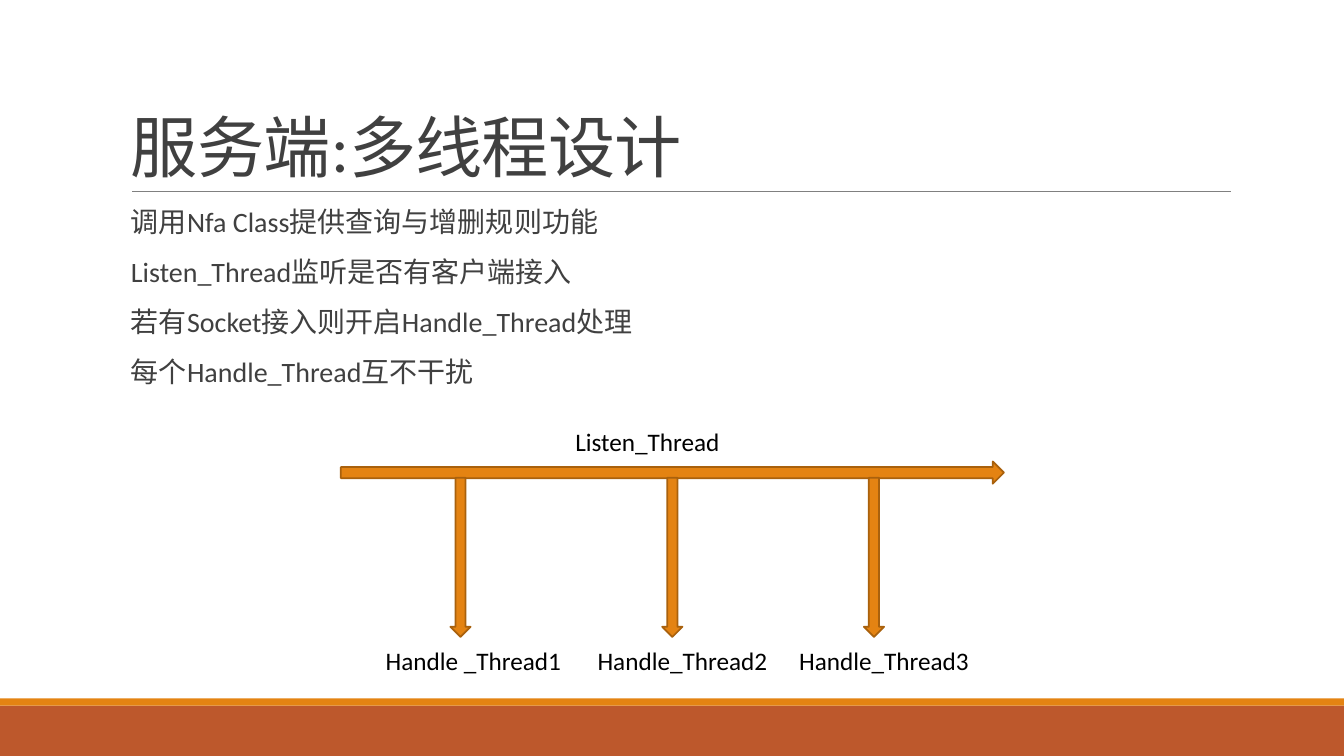
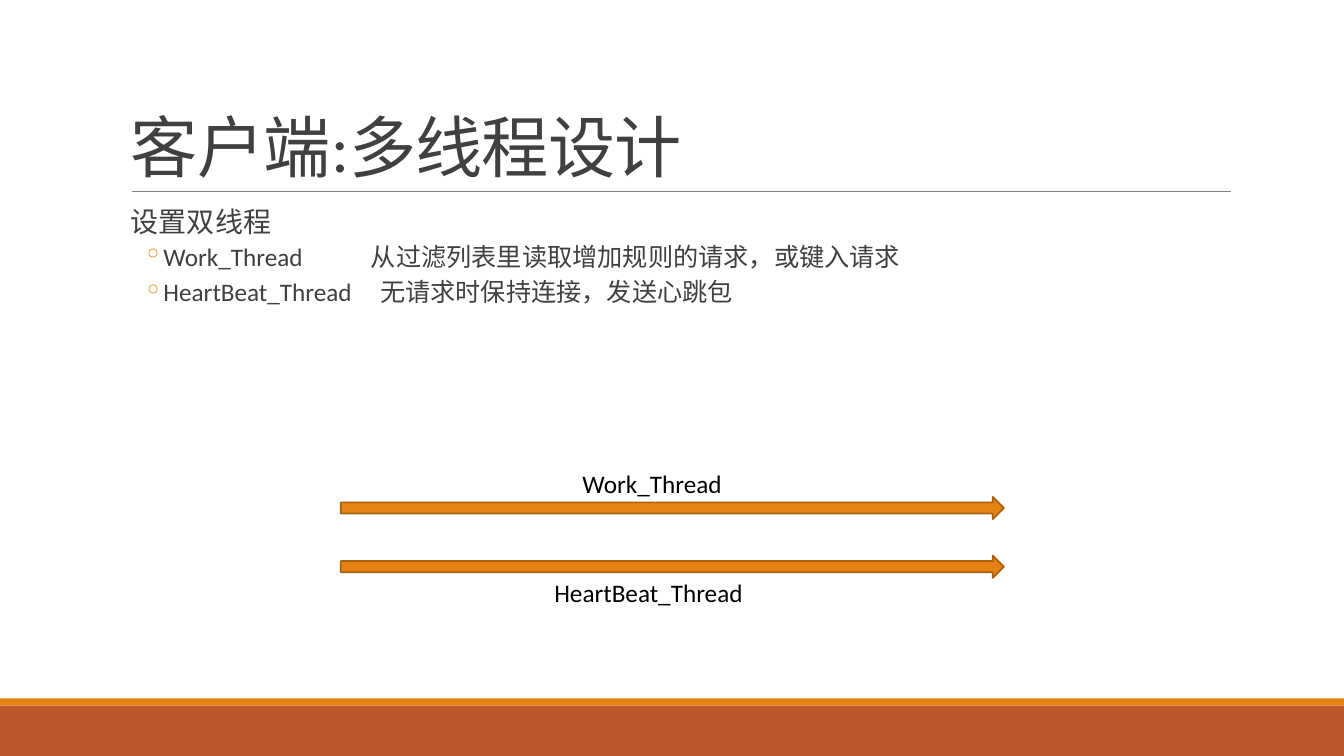
from dataclasses import dataclass

from lxml import etree
from pptx import Presentation
from pptx.dml.color import RGBColor
from pptx.enum.shapes import MSO_CONNECTOR, MSO_SHAPE
from pptx.enum.text import MSO_ANCHOR
from pptx.oxml.ns import qn
from pptx.util import Cm, Pt

RECTANGLE = MSO_SHAPE.RECTANGLE
RIGHT_ARROW = MSO_SHAPE.RIGHT_ARROW
DOWN_ARROW = MSO_SHAPE.DOWN_ARROW
STRAIGHT = MSO_CONNECTOR.STRAIGHT
TOP = MSO_ANCHOR.TOP
BOTTOM = MSO_ANCHOR.BOTTOM
BLANK_LAYOUT = 6


@dataclass(frozen=True)
class Theme:
    """Colours and type shared by the slides."""
    font: str = "Calibri"
    text: str = "404040"
    label: str = "000000"
    accent: str = "E48312"
    outline: str = "A9610D"
    band: str = "BD582C"
    rule: str = "808080"
    title_size: int = 48
    body_size: int = 20
    detail_size: int = 18


@dataclass(frozen=True)
class Box:
    """A region measured in centimetres."""
    left: float
    top: float
    width: float
    height: float

    def inner(self, left, top, width, height):
        """Return a region placed relative to this one."""
        return Box(self.left + left, self.top + top, width, height)

    def lengths(self):
        """Return the four lengths for python-pptx."""
        return Cm(self.left), Cm(self.top), Cm(self.width), Cm(self.height)


THEME = Theme()
PAGE = Box(0, 0, 33.87, 19.05)
CONTENT = Box(3.05, 0.79, 27.94, 15.52)
ARROW_THICKNESS = 0.56
LABEL_HEIGHT = 1.02


def colour(value):
    """Turn a hex string into a colour."""
    return RGBColor.from_string(value)


def add_block(shapes, kind, box, fill, outline=None):
    """Draw a filled preset shape, outlined on request."""
    block = shapes.add_shape(kind, *box.lengths())
    block.shadow.inherit = False
    block.fill.solid()
    block.fill.fore_color.rgb = colour(fill)
    if outline:
        block.line.color.rgb = colour(outline)
        block.line.width = Pt(1.25)
    else:
        block.line.fill.background()
    return block


def add_frame(shapes, box, anchor=TOP, side=0.25, wrap=True):
    """Add an empty text box and return its text frame."""
    frame = shapes.add_textbox(*box.lengths()).text_frame
    frame.word_wrap = wrap
    frame.vertical_anchor = anchor
    frame.margin_left = frame.margin_right = Cm(side)
    return frame


def write(para, text, size, fill=THEME.text, spacing=None, line=None,
          before=0, after=0, indent=0, hanging=0, bullet=None, tab=None):
    """Write one formatted paragraph."""
    para.line_spacing = line
    para.space_before, para.space_after = Pt(before), Pt(after)
    span = para.add_run()
    span.text = text
    span.font.name = THEME.font
    span.font.size = Pt(size)
    span.font.color.rgb = colour(fill)
    if spacing is not None:
        span.font._element.set("spc", str(round(spacing * 100)))
    properties = para._p.get_or_add_pPr()
    properties.set("marL", str(Cm(indent)))
    properties.set("indent", str(Cm(-hanging)))
    if bullet:
        tint = etree.SubElement(properties, qn("a:buClr"))
        etree.SubElement(tint, qn("a:srgbClr"), val=THEME.accent)
        etree.SubElement(properties, qn("a:buChar"), char=bullet)
    if tab:
        stops = etree.SubElement(properties, qn("a:tabLst"))
        etree.SubElement(stops, qn("a:tab"), pos=str(Cm(tab)), algn="l")


def add_label(shapes, box, text):
    """Add a one-line diagram label."""
    frame = add_frame(shapes, box, wrap=False)
    write(frame.paragraphs[0], text, THEME.detail_size, THEME.label)


def add_thread(shapes, kind, box):
    """Draw a thread as a block arrow."""
    add_block(shapes, kind, box, THEME.accent, THEME.outline)


def add_bands(page, box):
    """Draw the two bands at the foot of the page."""
    add_block(page.shapes, RECTANGLE,
              box.inner(0, 17.78, box.width, 1.27), THEME.band)
    add_block(page.shapes, RECTANGLE,
              box.inner(0, 17.6, box.width, 0.18), THEME.accent)


def add_title(page, box, text):
    """Set the title above its rule."""
    left, bottom = box.left + 0.28, box.top + box.height
    rule = page.shapes.add_connector(
        STRAIGHT, Cm(left), Cm(bottom), Cm(left + 27.68), Cm(bottom))
    rule.line.color.rgb = colour(THEME.rule)
    rule.line.width = Pt(0.5)
    etree.SubElement(rule._element.spPr, qn("a:effectLst"))
    frame = add_frame(page.shapes, box, anchor=BOTTOM)
    write(frame.paragraphs[0], text, THEME.title_size, spacing=-0.5, line=0.85)


def add_body(page, box, points, details=()):
    """List the points, then bulleted pairs of a thread and its task."""
    frame = add_frame(page.shapes, box, side=0)
    paras = [frame.paragraphs[0]]
    paras += [frame.add_paragraph() for _ in range(len(points) + len(details) - 1)]
    for para, point in zip(paras, points):
        write(para, point, THEME.body_size, line=0.9, before=12, after=2,
              indent=0.25)
    for para, (thread, task, tab) in zip(paras[len(points):], details):
        write(para, f"{thread}\t{task}", THEME.detail_size, line=0.9, before=2,
              after=4, indent=1.07, hanging=0.51, bullet="◦", tab=tab)


def add_server_diagram(page, box):
    """Show the listening thread branching into handlers."""
    shapes = page.shapes.add_group_shape().shapes
    add_thread(shapes, RIGHT_ARROW, box.inner(0, 1.01, box.width, ARROW_THICKNESS))
    add_label(shapes, box.inner(5.66, 0, 4.9, LABEL_HEIGHT), "Listen_Thread")
    handlers = (("Handle _Thread1", 2.76), ("Handle_Thread2", 8.1),
                ("Handle_Thread3", 13.18))
    for name, offset in handlers:
        add_thread(shapes, DOWN_ARROW, box.inner(offset, 1.42, 0.51, 4.01))
        add_label(shapes, box.inner(offset - 1.88, 5.51, 5.18, LABEL_HEIGHT), name)


def add_client_diagram(page, box):
    """Show the two parallel client threads."""
    shapes = page.shapes.add_group_shape().shapes
    for top in (0.84, 2.32):
        add_thread(shapes, RIGHT_ARROW,
                   box.inner(0, top, box.width, ARROW_THICKNESS))
    add_label(shapes, box.inner(5.84, 0, 4.19, LABEL_HEIGHT), "Work_Thread")
    add_label(shapes, box.inner(5.13, 2.75, 5.61, LABEL_HEIGHT), "HeartBeat_Thread")


def add_page(deck, title, points, details=()):
    """Add a page with bands, title and body text."""
    page = deck.slides.add_slide(deck.slide_layouts[BLANK_LAYOUT])
    add_bands(page, PAGE)
    add_title(page, CONTENT.inner(0, 0, CONTENT.width, 4.04), title)
    add_body(page, CONTENT.inner(0, 4.34, CONTENT.width, 11.18), points, details)
    return page


def main():
    """Build and save the deck."""
    deck = Presentation()
    deck.slide_width, deck.slide_height = Cm(PAGE.width), Cm(PAGE.height)
    server = add_page(deck, "服务端:多线程设计", (
        "调用Nfa Class提供查询与增删规则功能",
        "Listen_Thread监听是否有客户端接入",
        "若有Socket接入则开启Handle_Thread处理",
        "每个Handle_Thread互不干扰"))
    add_server_diagram(server, Box(8.59, 10.62, 16.71, 6.53))
    client = add_page(deck, "客户端:多线程设计", ("设置双线程",), (
        ("Work_Thread", "从过滤列表里读取增加规则的请求，或键入请求", 6.3),
        ("HeartBeat_Thread", "无请求时保持连接，发送心跳包", 6.53)))
    add_client_diagram(client, Box(8.59, 11.68, 16.71, 3.77))
    deck.save("out.pptx")


main()
